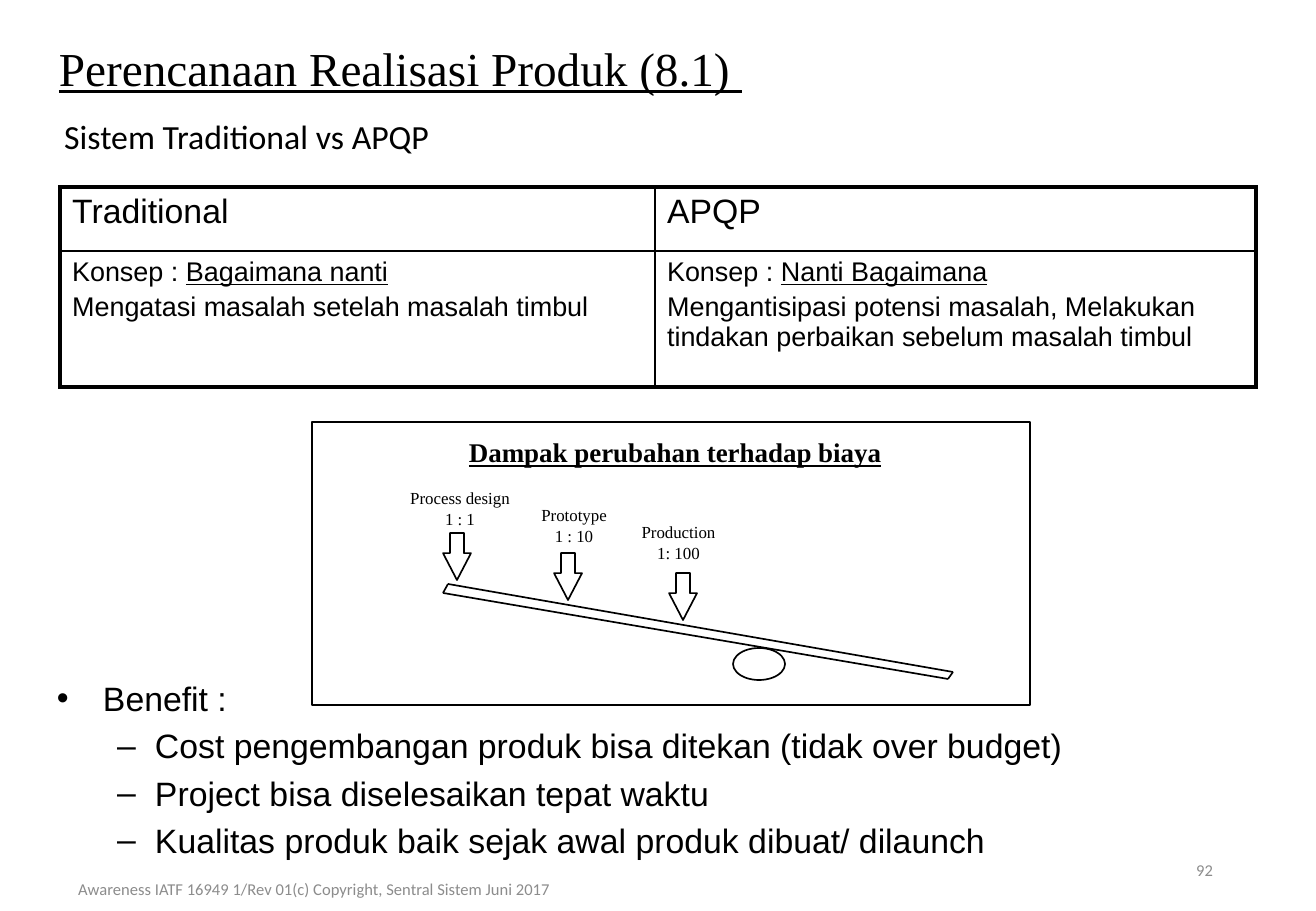
from lxml.etree import SubElement
from pptx import Presentation
from pptx.dml.color import RGBColor
from pptx.enum.shapes import MSO_CONNECTOR, MSO_SHAPE
from pptx.enum.text import MSO_ANCHOR, MSO_AUTO_SIZE, PP_ALIGN
from pptx.oxml import parse_xml
from pptx.oxml.ns import nsdecls, qn
from pptx.util import Pt

PX = 914400 / 121.5
COLORS = {"black": "000000", "white": "FFFFFF", "gray": "8C8C8C"}
RGB = {name: RGBColor.from_string(value) for name, value in COLORS.items()}


def px(*lengths):
    return [round(n * PX) for n in lengths]


def add_text(tf, lines, font, size, color="black", align=PP_ALIGN.LEFT, before=0):
    """Write each line as a paragraph; a line is a list of (text, underlined) runs."""
    for i, runs in enumerate(lines):
        p = tf.paragraphs[0] if i == 0 else tf.add_paragraph()
        p.alignment = align
        p.space_before = Pt(before if i else 0)
        for text, underline in runs:
            r = p.add_run()
            r.text = text
            r.font.name, r.font.size = font, Pt(size)
            r.font.underline = underline
            r.font.color.rgb = RGB[color]


prs = Presentation()
prs.slide_width, prs.slide_height = px(1316, 911)
s = prs.slides.add_slide(prs.slide_layouts[5])

# Title
title = s.shapes.title
title.left, title.top, title.width, title.height = px(52, 81, 706, 116)
tf = title.text_frame
tf.auto_size = MSO_AUTO_SIZE.NONE
tf.vertical_anchor = MSO_ANCHOR.MIDDLE
add_text(tf, [[("Sistem Traditional vs APQP", False)]], "Calibri", 20)
tf.paragraphs[0].line_spacing = 0.9

# Comparison table
rows = [
    (20, [[[("Traditional", False)]], [[("APQP", False)]]]),
    (16, [
        [[("Konsep : ", False), ("Bagaimana nanti", True)],
         [("Mengatasi masalah setelah masalah timbul", False)]],
        [[("Konsep : ", False), ("Nanti Bagaimana", True)],
         [("Mengantisipasi potensi masalah, Melakukan tindakan perbaikan "
           "sebelum masalah timbul", False)]],
    ]),
]
table = s.shapes.add_table(2, 2, *px(60, 187, 1196, 200)).table
table.first_row = table.horz_banding = False
for col, width in zip(table.columns, px(595, 601)):
    col.width = width
for row, height in zip(table.rows, px(64, 136)):
    row.height = height
for y, (size, cells) in enumerate(rows):
    for x, lines in enumerate(cells):
        cell = table.cell(y, x)
        cell.fill.solid()
        cell.fill.fore_color.rgb = RGB["white"]
        add_text(cell.text_frame, lines, "Arial", size, before=3)
        outer = {"L": x == 0, "R": x == 1, "T": y == 0, "B": y == 1}
        for i, (side, is_outer) in enumerate(outer.items()):
            width = Pt(2.25 if is_outer else 1)
            cell._tc.get_or_add_tcPr().insert(i, parse_xml(
                f'<a:ln{side} {nsdecls("a")} w="{width}"><a:solidFill>'
                f'<a:srgbClr val="{COLORS["black"]}"/></a:solidFill></a:ln{side}>'))

# Lever diagram: frame, fulcrum and arrows
outlines = [
    (MSO_SHAPE.RECTANGLE, (312, 422, 718, 283), 0.75),
    (MSO_SHAPE.OVAL, (733, 648, 52, 32), 1),
    *[(MSO_SHAPE.DOWN_ARROW, (x, y, 28, 47), 1)
      for x, y in [(443, 533), (554, 553), (669, 573)]],
]
for kind, box, weight in outlines:
    sp = s.shapes.add_shape(kind, *px(*box))
    sp.shadow.inherit = False
    sp.line.color.rgb, sp.line.width = RGB["black"], Pt(weight)
    if kind == MSO_SHAPE.RECTANGLE:
        sp.fill.solid()
        sp.fill.fore_color.rgb = RGB["white"]
    else:
        sp.fill.background()
    if kind == MSO_SHAPE.DOWN_ARROW:
        sp.adjustments[1] = 0.96

lever = [(443, 593), (948, 679), (953, 672), (448, 584)]
for start, end in zip(lever, lever[1:] + lever[:1]):
    line = s.shapes.add_connector(MSO_CONNECTOR.STRAIGHT, *px(*start, *end))
    line.line.color.rgb, line.line.width = RGB["black"], Pt(1)
    SubElement(line._element.spPr, qn("a:effectLst"))

stages = [
    ("Process design", "1 : 1", (398, 482, 124, 52)),
    ("Prototype", "1 : 10", (529, 499, 90, 52)),
    ("Production", "1: 100", (629, 516, 99, 52)),
]
for stage, ratio, box in stages:
    tf = s.shapes.add_textbox(*px(*box)).text_frame
    tf.word_wrap = False
    add_text(tf, [[(stage, False)], [(ratio, False)]],
             "Times New Roman", 10, align=PP_ALIGN.CENTER)

tf = s.shapes.add_textbox(*px(457, 430, 437, 45)).text_frame
tf.word_wrap = False
add_text(tf, [[("Dampak perubahan terhadap biaya", True)]], "Times New Roman", 16)
tf.paragraphs[0].runs[0].font.bold = True

# Benefits
benefits = [
    "Benefit :",
    "Cost pengembangan produk bisa ditekan (tidak over budget)",
    "Project bisa diselesaikan tepat waktu",
    "Kualitas produk baik sejak awal produk dibuat/ dilaunch",
]
tf = s.shapes.add_textbox(*px(45, 672, 1148, 220)).text_frame
tf.word_wrap = True
add_text(tf, [[(text, False)] for text in benefits], "Arial", 20, before=4)
for i, p in enumerate(tf.paragraphs):
    level, bullet, margin, indent = (1, "–", 98, -38) if i else (0, "•", 46, -46)
    p.level = level
    pPr = p._p.get_or_add_pPr()
    for name, value in zip(("marL", "indent"), px(margin, indent)):
        pPr.set(name, str(value))
    SubElement(pPr, qn("a:buFont"), typeface="Arial")
    SubElement(pPr, qn("a:buChar"), char=bullet)

# Heading
tf = s.shapes.add_textbox(*px(47, 33, 955, 69)).text_frame
tf.word_wrap = True
add_text(tf, [[("Perencanaan Realisasi Produk (8.1) ", True)]], "Times New Roman", 28)

# Page number and footer
footers = [
    ("92", (929, 845, 296, 49), PP_ALIGN.RIGHT),
    ("Awareness IATF 16949 1/Rev 01(c) Copyright, Sentral Sistem Juni 2017",
     (15, 864, 598, 49), PP_ALIGN.CENTER),
]
for text, box, align in footers:
    tf = s.shapes.add_textbox(*px(*box)).text_frame
    tf.word_wrap = True
    tf.vertical_anchor = MSO_ANCHOR.MIDDLE
    add_text(tf, [[(text, False)]], "Calibri", 9.8, "gray", align)

prs.save("out.pptx")
